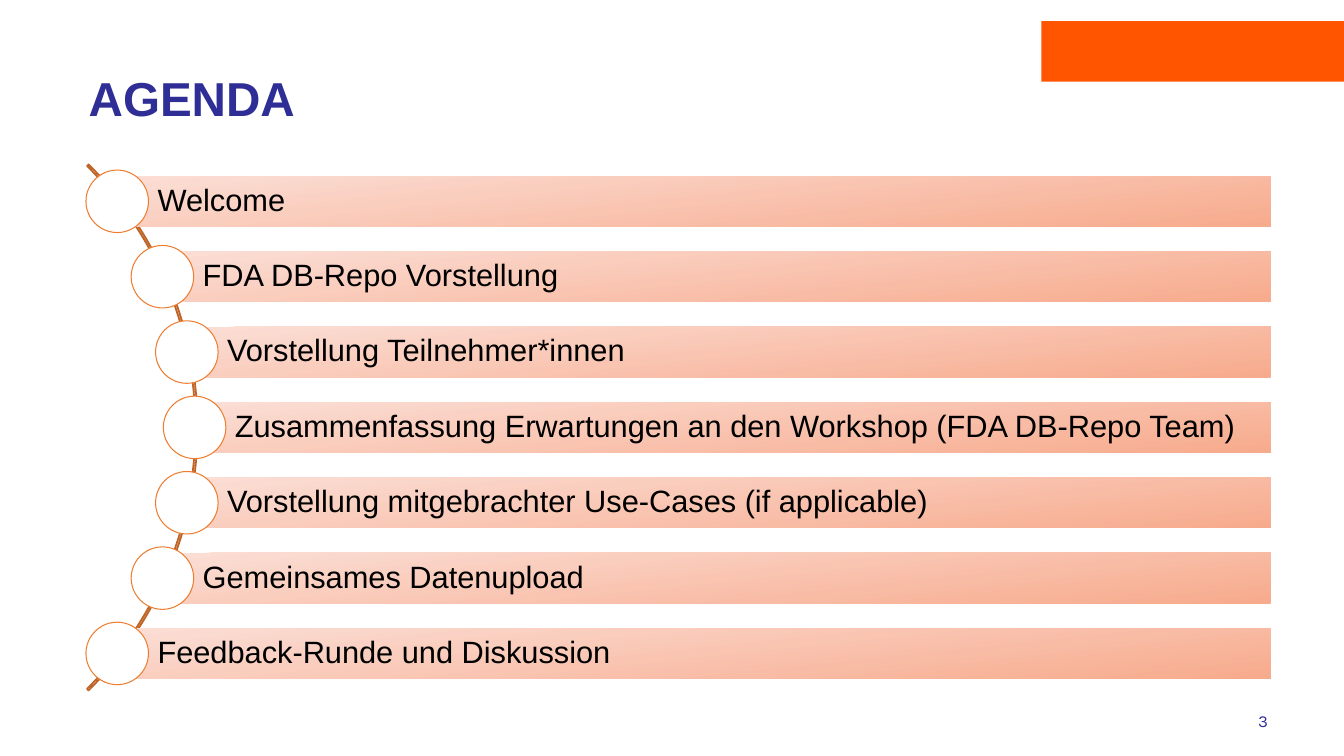
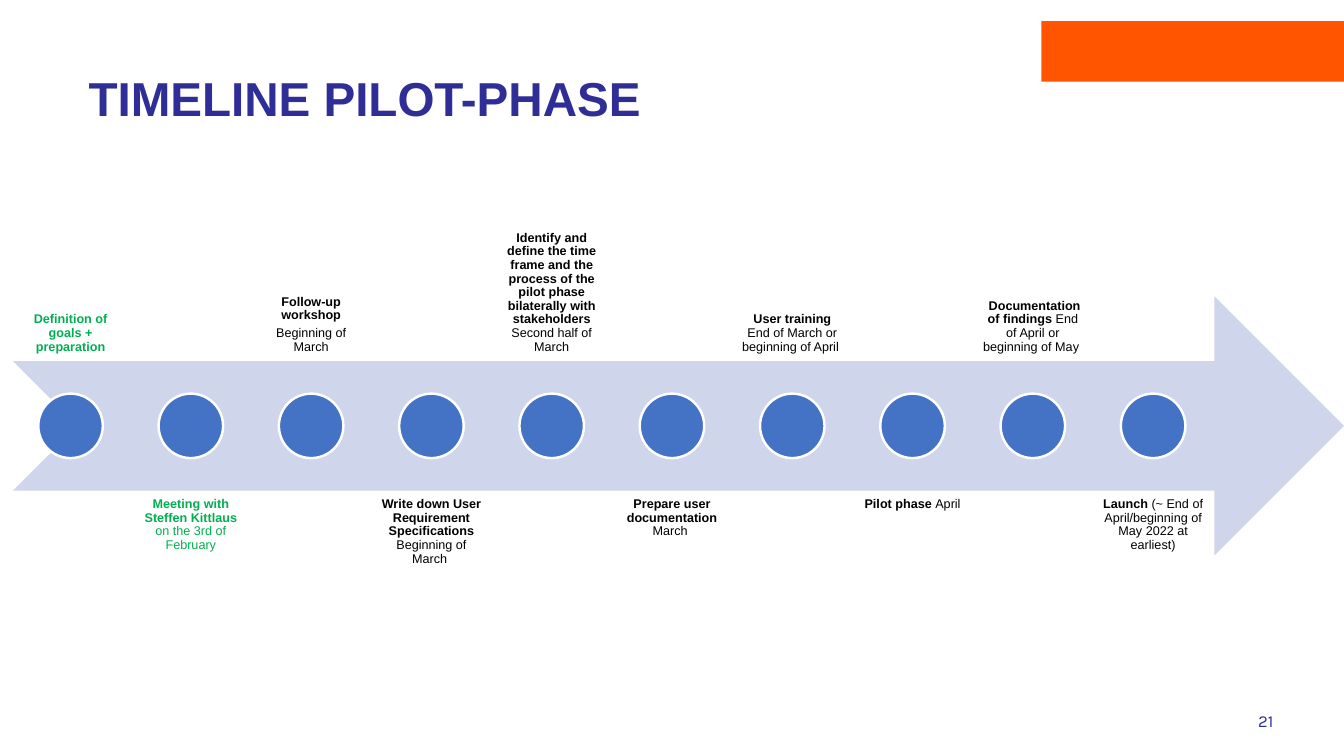
from math import sqrt

from pptx import Presentation
from pptx.dml.color import RGBColor
from pptx.enum.shapes import MSO_SHAPE
from pptx.enum.text import MSO_ANCHOR, PP_ALIGN
from pptx.util import Inches, Pt

RECTANGLE, OVAL = MSO_SHAPE.RECTANGLE, MSO_SHAPE.OVAL
ARC, ARROW = MSO_SHAPE.BLOCK_ARC, MSO_SHAPE.NOTCHED_RIGHT_ARROW
TOP, MIDDLE, BOTTOM = MSO_ANCHOR.TOP, MSO_ANCHOR.MIDDLE, MSO_ANCHOR.BOTTOM
LEFT, CENTER = PP_ALIGN.LEFT, PP_ALIGN.CENTER

WIDTH, HEIGHT = 13.33, 7.5
FONT, NUMBER_FONT = "Arial", "Karla"
COLORS = {
    "navy": "2F2D96", "band": "FF5501", "black": "000000", "white": "FFFFFF",
    "arc": "BE6427", "ring": "ED7D31", "bar_start": "FBDED5", "bar_end": "F7AB8D",
    "arrow": "CFD5EA", "dot": "4472C4", "done": "00B050",
}

# Content
AGENDA = [
    "Welcome",
    "FDA DB-Repo Vorstellung",
    "Vorstellung Teilnehmer*innen",
    "Zusammenfassung Erwartungen an den Workshop (FDA DB-Repo Team)",
    "Vorstellung mitgebrachter Use-Cases (if applicable)",
    "Gemeinsames Datenupload",
    "Feedback-Runde und Diskussion",
]
# Each milestone: colour, then paragraphs of (text, bold) spans
MILESTONES = [
    ("done", [[("Definition of goals + preparation", True)]]),
    ("done", [[("Meeting with Steffen Kittlaus ", True), ("on the 3rd of February", False)]]),
    ("black", [[("Follow-up workshop", True)], [("Beginning of March", False)]]),
    ("black", [[("Write down User Requirement Specifications ", True),
                ("Beginning of March ", False)]]),
    ("black", [[("Identify and define the time frame and the process of the pilot phase "
                 "bilaterally with stakeholders ", True), ("Second half of March", False)]]),
    ("black", [[("Prepare user documentation ", True), ("March ", False)]]),
    ("black", [[("User training ", True), ("End of March or beginning of April ", False)]]),
    ("black", [[("Pilot phase ", True), ("April", False)]]),
    ("black", [[(" Documentation of findings ", True),
                ("End of April or beginning of May ", False)]]),
    ("black", [[("Launch ", True),
                ("(~ End of April/beginning of May 2022 at earliest)", False)]]),
]


def color(name):
    return RGBColor.from_string(COLORS[name])


def add_shape(page, kind, left, top, width, height, fill=None, line=None, line_width=1):
    shape = page.shapes.add_shape(
        kind, Inches(left), Inches(top), Inches(width), Inches(height))
    shape.shadow.inherit = False
    if fill:
        shape.fill.solid()
        shape.fill.fore_color.rgb = color(fill)
    else:
        shape.fill.background()
    if line:
        shape.line.color.rgb = color(line)
        shape.line.width = Pt(line_width)
    else:
        shape.line.fill.background()
    return shape


def set_frame(frame, anchor, left=0.1, other=0.05):
    frame.word_wrap = True
    frame.vertical_anchor = anchor
    frame.margin_left = Inches(left)
    frame.margin_top = frame.margin_right = frame.margin_bottom = Inches(other)


def style(para, size, tint, align=LEFT, bold=None, font=FONT):
    para.alignment = align
    para.line_spacing = 0.9
    para.font.name, para.font.size, para.font.bold = font, Pt(size), bold
    para.font.color.rgb = color(tint)


def add_page(deck, title, number):
    """Page with the shared band, title and page number."""
    page = deck.slides.add_slide(deck.slide_layouts[5])
    add_shape(page, RECTANGLE, WIDTH - 3, 0.21, 3, 0.6, "band")
    head = page.shapes.title
    head.left, head.top, head.width, head.height = map(Inches, (0.78, 0.4, 10.83, 1.21))
    head.text_frame.text = title
    set_frame(head.text_frame, MIDDLE)
    style(head.text_frame.paragraphs[0], 34, "navy", bold=True)
    box = page.shapes.add_textbox(Inches(12.38), Inches(7), Inches(0.81), Inches(0.3))
    box.text_frame.text = str(number)
    set_frame(box.text_frame, TOP)
    para = box.text_frame.paragraphs[0]
    style(para, 12, "navy", font=NUMBER_FONT)
    para.line_spacing = 1
    return page


def add_agenda(page):
    """Bars whose bubbles sit on a circular arc."""
    center_x, center_y, arc_radius, bubble_radius = -1.73, 4.24, 3.69, 3.66
    pitch, bar_height, bubble, right = 0.7475, 0.5, 0.62, 12.6
    arc = add_shape(page, ARC, center_x - arc_radius, center_y - arc_radius,
                    2 * arc_radius, 2 * arc_radius, line="arc", line_width=1.25)
    for index, value in enumerate((189, 27, 0.003)):
        arc.adjustments[index] = value
    for index, topic in enumerate(AGENDA):
        offset = (index - (len(AGENDA) - 1) / 2) * pitch
        x, y = center_x + sqrt(bubble_radius ** 2 - offset ** 2), center_y + offset
        bar = add_shape(page, RECTANGLE, x, y - bar_height / 2, right - x, bar_height)
        bar.fill.gradient()
        bar.fill.gradient_angle = 360 - 84
        for stop, name in zip(bar.fill.gradient_stops, ("bar_start", "bar_end")):
            stop.color.rgb = color(name)
        bar.text_frame.text = topic
        set_frame(bar.text_frame, MIDDLE, 0.4, 0.06)
        style(bar.text_frame.paragraphs[0], 22, "black")
        add_shape(page, OVAL, x - bubble / 2, y - bubble / 2, bubble, bubble,
                  "white", "ring", 0.75)


def add_timeline(page):
    """Arrow with evenly spaced dots and labels alternating above and below."""
    left, top, height = 0.13, 2.94, 2.57
    pitch, label_width, dot = 1.193, 1.14, 0.64
    middle = top + height / 2
    add_shape(page, ARROW, left, top, WIDTH - left, height, "arrow")
    for index, (tint, paragraphs) in enumerate(MILESTONES):
        x = left + index * pitch
        above = index % 2 == 0
        label_top = middle - height / 4 - height if above else middle + height / 4
        box = page.shapes.add_textbox(
            Inches(x), Inches(label_top), Inches(label_width), Inches(height))
        frame = box.text_frame
        set_frame(frame, BOTTOM if above else TOP, 0.07, 0.07)
        for row, spans in enumerate(paragraphs):
            para = frame.add_paragraph() if row else frame.paragraphs[0]
            style(para, 9, tint, CENTER)
            if row:
                para.space_before = Pt(3)
            for text, bold in spans:
                span = para.add_run()
                span.text, span.font.bold = text, bold
        add_shape(page, OVAL, x + (label_width - dot) / 2, middle - dot / 2, dot, dot,
                  "dot", "white", 1.75)


def main():
    deck = Presentation()
    deck.slide_width, deck.slide_height = Inches(WIDTH), Inches(HEIGHT)
    add_agenda(add_page(deck, "AGENDA", 3))
    add_timeline(add_page(deck, "TIMELINE PILOT-PHASE", 21))
    deck.save("out.pptx")


if __name__ == "__main__":
    main()
